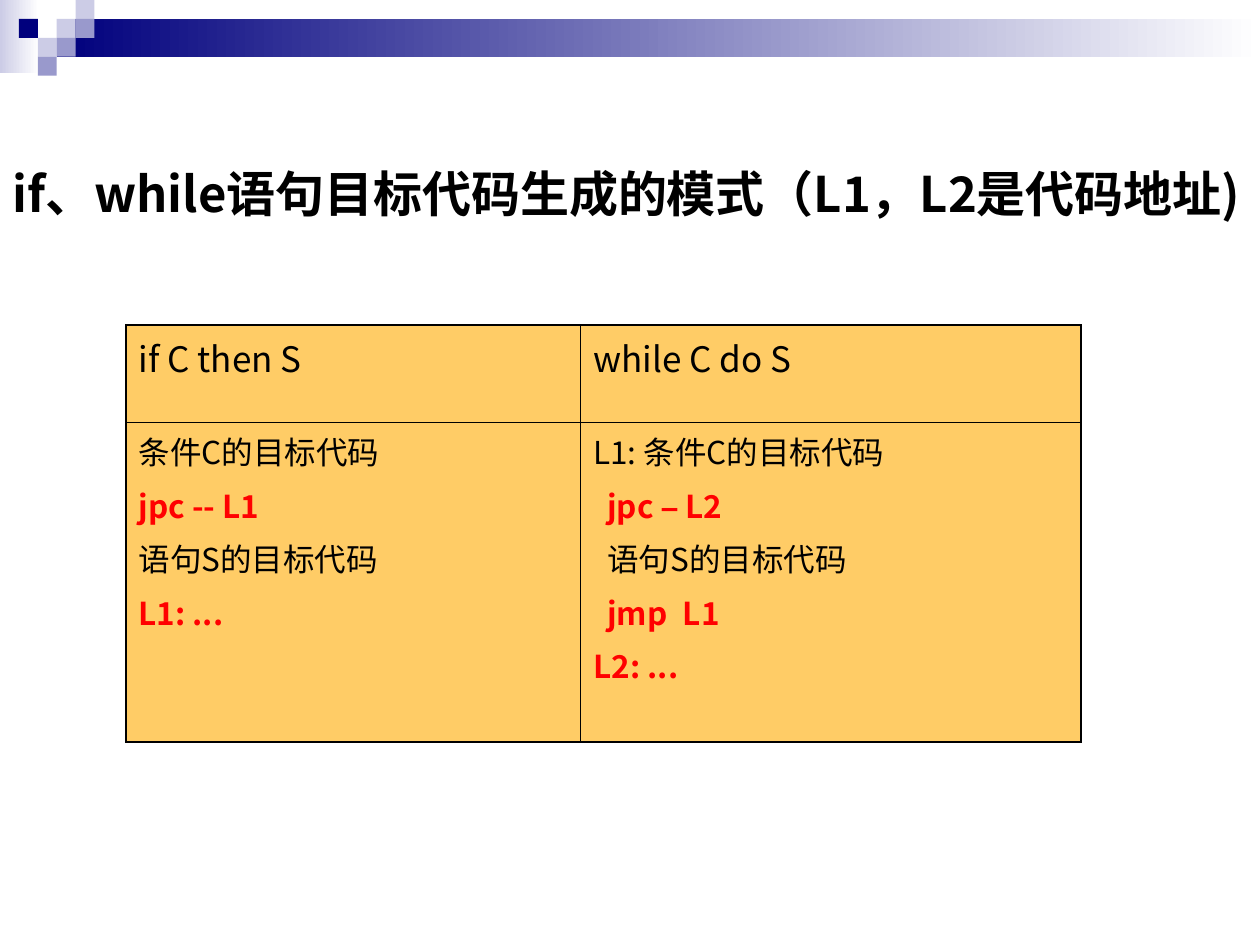
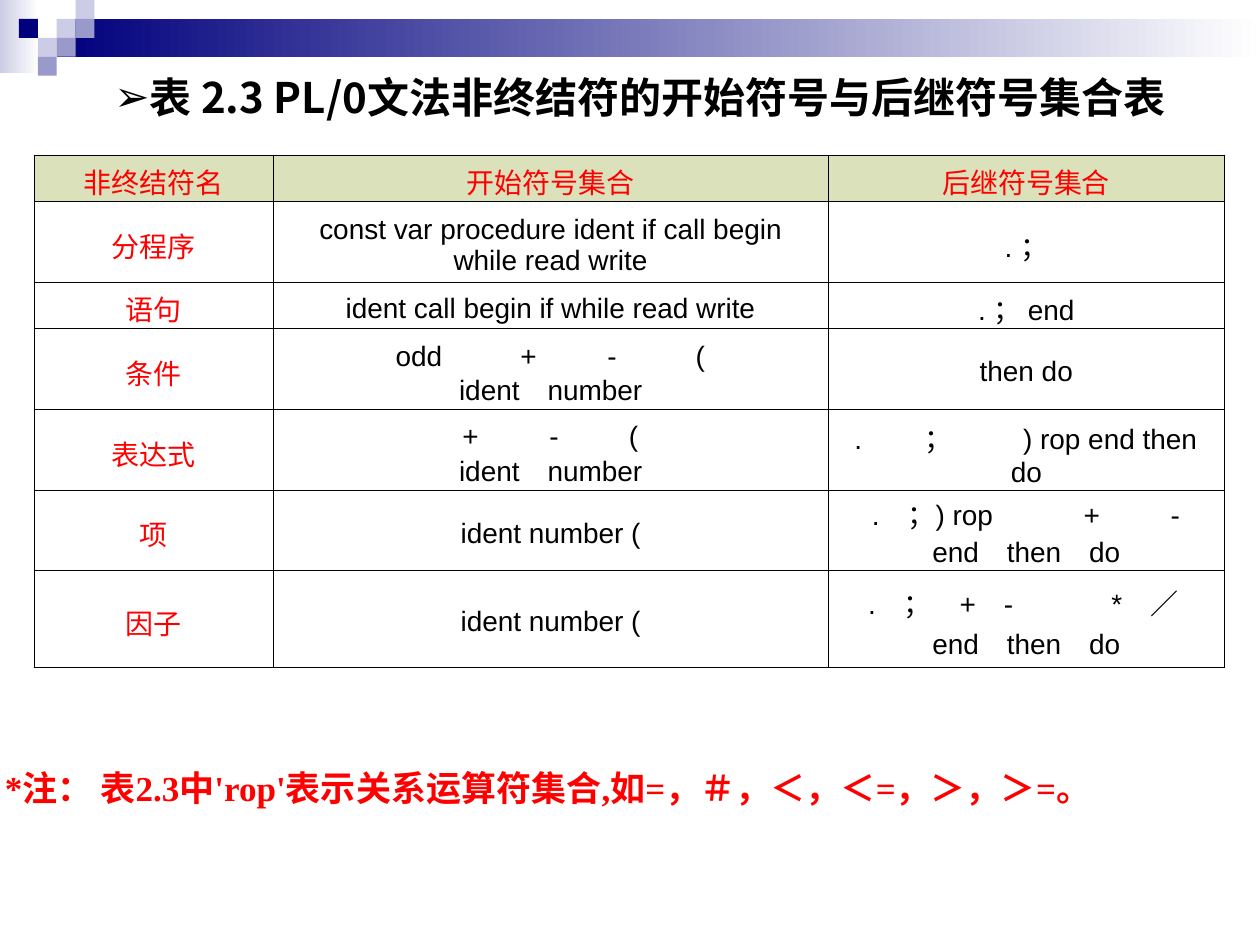
from dataclasses import dataclass

from lxml import etree
from pptx import Presentation
from pptx import util as u
from pptx.dml.color import RGBColor
from pptx.enum import shapes, text
from pptx.oxml.ns import qn

COLORS = {
    "ink": "000000", "red": "FF0000", "paper": "FFFFFF", "navy": "00007D",
    "lavender": "CCCCE6", "violet": "9999CC", "amber": "FFCC66", "olive": "DAE1BB",
}
CJK = "Noto Sans CJK SC"
COLUMNS, ROWS = 200, 150
CELL = u.Inches(0.05)
SQUARE = 3  # side of a header square, in grid cells
HEADER_SQUARES = [
    (3, 1, "lavender"), (4, 0, "lavender"), (4, 1, "violet"), (2, 2, "lavender"),
    (1, 1, "navy"), (3, 2, "violet"), (2, 3, "violet"),
]


@dataclass
class Line:
    """One paragraph; stops are tab positions in grid columns."""
    words: str
    color: str = "ink"
    bold: bool = False
    size: int = 16
    font: str = "Arial"
    centred: bool = False
    before: float = 0
    pitch: float = 0
    stops: tuple = ()
    bullet: str = ""


def rgb(name):
    return RGBColor.from_string(COLORS[name])


def grid(cells):
    return u.Emu(round(cells * CELL))


def child(parent, tag, **attributes):
    return etree.SubElement(parent, qn(tag), {k: str(v) for k, v in attributes.items()})


class Deck:
    def __init__(self):
        self.presentation = Presentation()
        self.presentation.slide_width = grid(COLUMNS)
        self.presentation.slide_height = grid(ROWS)
        self.slide = None

    def new_slide(self):
        layout = self.presentation.slide_layouts[6]
        self.slide = self.presentation.slides.add_slide(layout)
        self.rectangle(0, 0, 6.2, 11.6, "lavender", "paper")
        band_left = 3 * SQUARE
        self.rectangle(band_left, SQUARE, COLUMNS - band_left, 2 * SQUARE, "navy", "paper")
        for column, row, color in HEADER_SQUARES:
            self.rectangle(column * SQUARE, row * SQUARE, SQUARE, SQUARE, color)

    def rectangle(self, left, top, width, height, color, fade_to=None):
        shape = self.slide.shapes.add_shape(
            shapes.MSO_SHAPE.RECTANGLE, *map(grid, (left, top, width, height)))
        shape.shadow.inherit = False
        shape.line.fill.background()
        if fade_to:
            shape.fill.gradient()
            shape.fill.gradient_angle = 0
            for stop, name in zip(shape.fill.gradient_stops, (color, fade_to)):
                stop.color.rgb = rgb(name)
        else:
            shape.fill.solid()
            shape.fill.fore_color.rgb = rgb(color)

    def text_box(self, left, top, width, height, line, **frame_format):
        shape = self.slide.shapes.add_textbox(*map(grid, (left, top, width, height)))
        frame_format["auto_size"] = text.MSO_AUTO_SIZE.SHAPE_TO_FIT_TEXT
        for name, value in frame_format.items():
            setattr(shape.text_frame, name, value)
        self.add_lines(shape.text_frame, [line])

    def add_lines(self, frame, lines):
        for index, line in enumerate(lines):
            paragraph = frame.add_paragraph() if index else frame.paragraphs[0]
            self.format_paragraph(paragraph, line, first=index == 0)
            for words in line.words.partition("–"):
                if words:
                    self.add_run(paragraph, words, line)

    def format_paragraph(self, paragraph, line, first):
        properties = paragraph._p.get_or_add_pPr()
        if line.bullet:
            color = child(properties, "a:buClr")
            child(color, "a:srgbClr", val=COLORS["ink"])
            child(properties, "a:buFont", typeface="Arial")
            child(properties, "a:buChar", char=line.bullet)
        if line.stops:
            tabs = child(properties, "a:tabLst")
            for stop in line.stops:
                child(tabs, "a:tab", pos=grid(stop), algn="l")
        paragraph.alignment = text.PP_ALIGN.CENTER if line.centred else text.PP_ALIGN.LEFT
        if line.before and not first:
            paragraph.space_before = u.Pt(line.before)
        if line.pitch:
            paragraph.line_spacing = u.Pt(line.pitch)

    def add_run(self, paragraph, words, line):
        run = paragraph.add_run()
        run.text = words
        run.font.color.rgb = rgb(line.color)
        font_format = {
            "size": u.Pt(line.size), "bold": line.bold,
            "name": "Arial" if words == "–" else line.font,
        }
        for name, value in font_format.items():
            setattr(run.font, name, value)
        child(run._r.get_or_add_rPr(), "a:ea", typeface=CJK)

    def table(self, left, top, widths, heights, cells, fills, outer, inner, **cell_format):
        """Cells are lists of Lines; fills holds one colour name or None per row."""
        table = self.slide.shapes.add_table(
            len(heights), len(widths),
            *map(grid, (left, top, sum(widths), sum(heights)))).table
        table.first_row = table.horz_banding = False
        for column, width in zip(table.columns, widths):
            column.width = grid(width)
        last_row, last_column = len(heights) - 1, len(widths) - 1
        for r, (row, height) in enumerate(zip(table.rows, heights)):
            row.height = grid(height)
            for c, cell in enumerate(row.cells):
                at_edge = {"a:lnL": c == 0, "a:lnR": c == last_column,
                           "a:lnT": r == 0, "a:lnB": r == last_row}
                self.borders(cell, {tag: outer if edge else inner
                                    for tag, edge in at_edge.items()})
                if fills[r]:
                    cell.fill.solid()
                    cell.fill.fore_color.rgb = rgb(fills[r])
                else:
                    cell.fill.background()
                for name, value in cell_format.items():
                    setattr(cell, name, value)
                self.add_lines(cell.text_frame, cells[r][c])

    def borders(self, cell, widths):
        properties = cell._tc.get_or_add_tcPr()
        for tag, width in widths.items():
            line = child(properties, tag, w=u.Pt(width))
            child(child(line, "a:solidFill"), "a:srgbClr", val=COLORS["ink"])


def code_patterns(deck):
    deck.new_slide()
    deck.text_box(
        0, 25, COLUMNS, 20.8,
        Line("if、while语句目标代码生成的模式（L1，L2是代码地址)", bold=True, size=28, font=CJK),
        word_wrap=True)

    def heading(words):
        return [Line(words, size=20, font=CJK)]

    def plain(words, **options):
        return Line(words, size=18, font=CJK, before=4.5, **options)

    def jump(words, **options):
        return plain(words, color="red", bold=True, **options)

    indent, operand = 2.2, 14.2
    if_code = [plain("条件C的目标代码"), jump("jpc -- L1"),
               plain("语句S的目标代码"), jump("L1: ...")]
    while_code = [
        plain("L1: 条件C的目标代码"),
        jump("\tjpc – L2", stops=(indent,)),
        plain("\t语句S的目标代码", stops=(indent,)),
        jump("\tjmp\tL1", stops=(indent, operand)),
        jump("L2: ..."),
    ]
    deck.table(20, 51.6, (72.2, 79.4), (15.4, 50.8),
               [[heading("if C then S"), heading("while C do S")], [if_code, while_code]],
               fills=("amber", "amber"), outer=1.08, inner=0.45)


def symbol_sets(deck):
    deck.new_slide()
    deck.text_box(
        16.2, 10.4, 174.6, 10,
        Line("表 2.3 PL/0文法非终结符的开始符号与后继符号集合表",
             bold=True, size=24, font=CJK, bullet="➢"),
        word_wrap=False, vertical_anchor=text.MSO_ANCHOR.MIDDLE)

    def centred(words, color="ink", pitch=0):
        return Line(words, color, centred=True, pitch=pitch)

    def spaced(words, *stops, pitch=0):
        return Line(words, stops=stops, pitch=pitch)

    tight = 21
    operands = centred("ident　number", pitch=tight)
    keywords = "end　then　do"
    sets = [
        ("分程序", [centred("const var procedure ident if call begin while read write")],
         [centred(". ；")]),
        ("语句", [centred("ident call begin if while read write")], [centred(". ； end")]),
        ("条件", [spaced("\todd\t+\t-\t(", 17.4, 37.2, 51, 65, pitch=tight), operands],
         [centred("then do")]),
        ("表达式", [spaced("\t+\t-\t(", 28, 41.8, 54.4, pitch=tight), operands],
         [spaced("\t.\t；\t) rop end then", 2.2, 13.4, 29), centred("do")]),
        ("项", [centred("ident number (")],
         [spaced("\t.　；) rop\t+\t-", 5, 38.6, 52.4, pitch=tight),
          centred(keywords, pitch=tight)]),
        ("因子", [centred("ident number (")],
         [spaced("\t.　；　+　-\t*　／", 4.4, 43), centred(keywords)]),
    ]
    header = [[centred(words, "red")] for words in ("非终结符名", "开始符号集合", "后继符号集合")]
    body = [[[centred(name, "red")], first, follow] for name, first, follow in sets]
    short, tall = 7.4, 12.8
    deck.table(5.4, 24.6, (38, 88, 63), (short, tall, short, tall, tall, tall, 15.4),
               [header] + body, fills=["olive"] + [None] * len(body),
               outer=0.34, inner=0.34,
               vertical_anchor=text.MSO_ANCHOR.MIDDLE, margin_bottom=0)
    deck.text_box(
        -1.2, 120.6, 195, 8.8,
        Line("*注： 表2.3中'rop'表示关系运算符集合,如=，＃，＜，＜=，＞，＞=。",
             "red", bold=True, size=20, font="Times New Roman"),
        word_wrap=False, vertical_anchor=text.MSO_ANCHOR.MIDDLE)


def main():
    deck = Deck()
    code_patterns(deck)
    symbol_sets(deck)
    deck.presentation.save("out.pptx")


if __name__ == "__main__":
    main()
